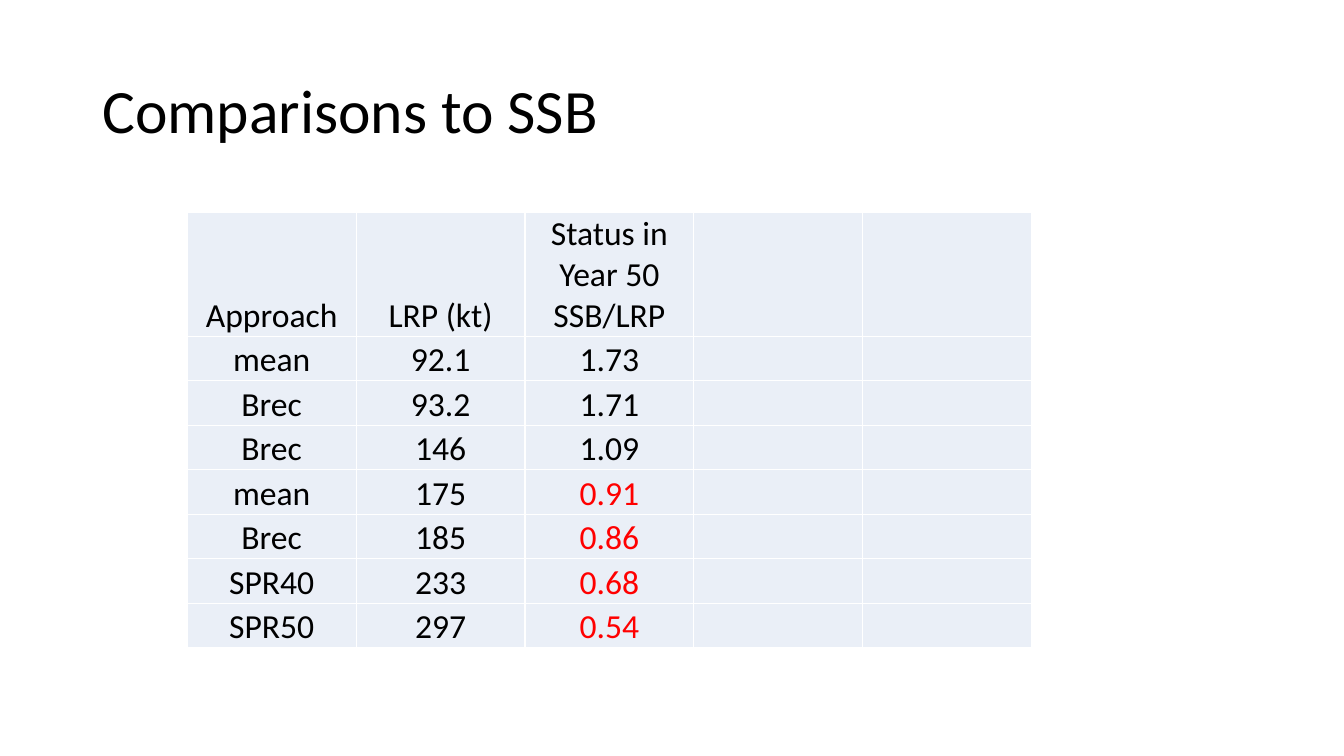
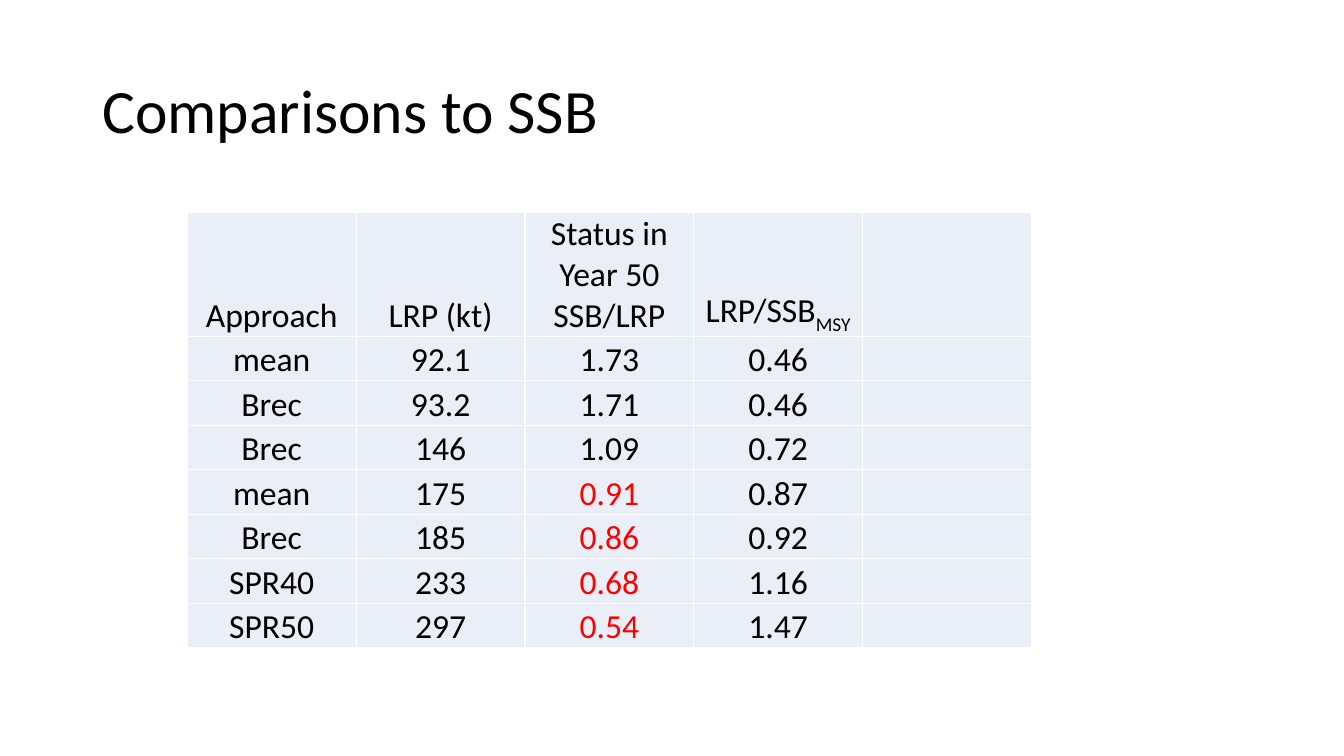
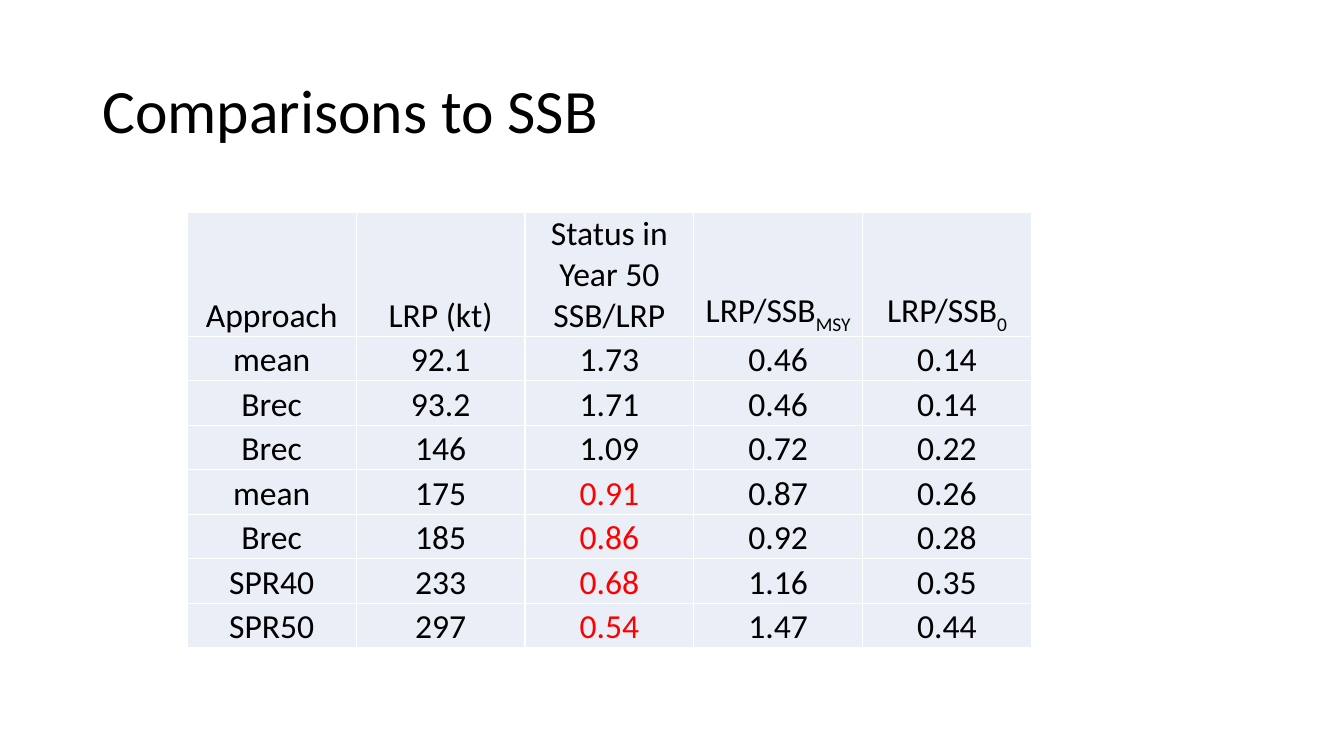
from lxml import etree
from pptx import Presentation
from pptx.dml.color import RGBColor
from pptx.enum.text import MSO_ANCHOR, PP_ALIGN
from pptx.oxml.ns import qn
from pptx.util import Pt

PX = 7620
FONT = "Calibri"
BLACK, RED, WHITE, PALE_BLUE = "000000", "FF0000", "FFFFFF", "EAEFF7"
LEFT, CENTER = PP_ALIGN.LEFT, PP_ALIGN.CENTER
MIDDLE, BOTTOM = MSO_ANCHOR.MIDDLE, MSO_ANCHOR.BOTTOM

TABLE_LEFT, TABLE_TOP = 223, 253
COLUMN_WIDTH, HEADER_HEIGHT, ROW_HEIGHT = 201, 144, 53
STATUS_COLUMN = 2

HEADINGS = [
    [[("Approach", False)]],
    [[("LRP (kt)", False)]],
    [[("Status in Year 50", False)], [("SSB/LRP", False)]],
    [[("LRP/SSB", False), ("MSY", True)]],
    [[("LRP/SSB", False), ("0", True)]],
]
RESULTS = [
    ("mean", "92.1", "1.73", "0.46", "0.14"),
    ("Brec", "93.2", "1.71", "0.46", "0.14"),
    ("Brec", "146", "1.09", "0.72", "0.22"),
    ("mean", "175", "0.91", "0.87", "0.26"),
    ("Brec", "185", "0.86", "0.92", "0.28"),
    ("SPR40", "233", "0.68", "1.16", "0.35"),
    ("SPR50", "297", "0.54", "1.47", "0.44"),
]
GRID = [HEADINGS] + [[[[(value, False)]] for value in result] for result in RESULTS]


def add_run(paragraph, text, size, color=BLACK, subscript=False):
    run = paragraph.add_run()
    run.text = text
    run.font.name = FONT
    run.font.size = Pt(size)
    run.font.color.rgb = RGBColor.from_string(color)
    if subscript:
        run.font._element.set("baseline", "-25000")


def style_cell(cell):
    cell.margin_left = cell.margin_right = cell.margin_top = PX
    cell.margin_bottom = 0
    cell.vertical_anchor = BOTTOM
    properties = cell._tc.get_or_add_tcPr()
    for side in ("a:lnL", "a:lnR", "a:lnT", "a:lnB"):
        border = etree.SubElement(properties, qn(side), w=str(Pt(1)))
        paint = etree.SubElement(border, qn("a:solidFill"))
        etree.SubElement(paint, qn("a:srgbClr"), val=WHITE)
    cell.fill.solid()
    cell.fill.fore_color.rgb = RGBColor.from_string(PALE_BLUE)


prs = Presentation()
prs.slide_width, prs.slide_height = 1600 * PX, 900 * PX
title_only = prs.slide_layouts[5]
layout_title = title_only.placeholders[0]
layout_title.left, layout_title.top = 110 * PX, 48 * PX
layout_title.width, layout_title.height = 1380 * PX, 174 * PX

for filled_columns in (3, 4, 5):
    slide = prs.slides.add_slide(title_only)
    title = slide.shapes.title.text_frame
    title.vertical_anchor = MIDDLE
    heading = title.paragraphs[0]
    heading.alignment = LEFT
    heading.line_spacing = 0.9
    add_run(heading, "Comparisons to SSB", 44)

    table_height = HEADER_HEIGHT + ROW_HEIGHT * len(RESULTS)
    comparison = slide.shapes.add_table(
        len(GRID), len(HEADINGS), TABLE_LEFT * PX, TABLE_TOP * PX,
        COLUMN_WIDTH * len(HEADINGS) * PX, table_height * PX,
    ).table
    comparison.first_row = False
    comparison.horz_banding = False
    for column in comparison.columns:
        column.width = COLUMN_WIDTH * PX

    for row_index, entries in enumerate(GRID):
        comparison.rows[row_index].height = (ROW_HEIGHT if row_index else HEADER_HEIGHT) * PX
        for column_index, lines in enumerate(entries):
            cell = comparison.cell(row_index, column_index)
            style_cell(cell)
            if column_index >= filled_columns:
                continue
            below_limit = row_index and column_index == STATUS_COLUMN and float(lines[0][0][0]) < 1
            for line_index, line in enumerate(lines):
                frame = cell.text_frame
                paragraph = frame.add_paragraph() if line_index else frame.paragraphs[0]
                paragraph.alignment = CENTER
                for text, subscript in line:
                    add_run(paragraph, text, 24, RED if below_limit else BLACK, subscript)

prs.save("out.pptx")
